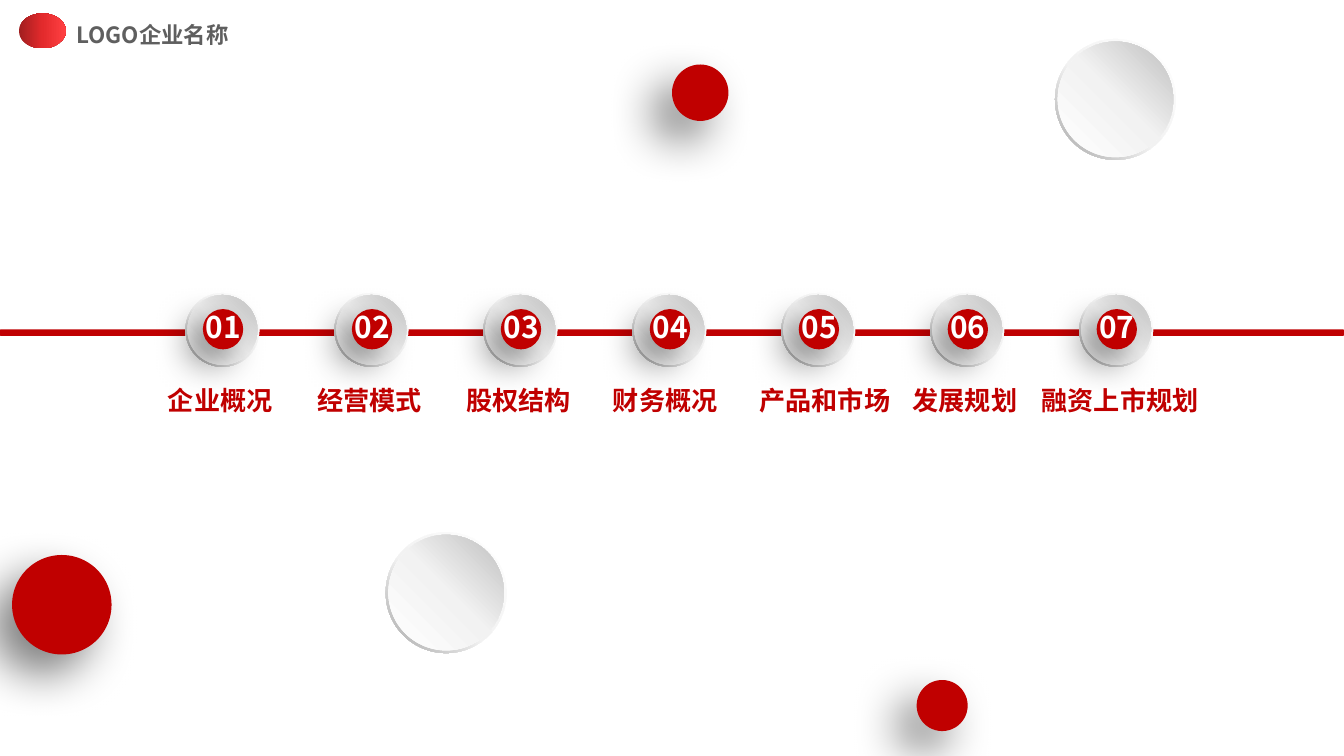
from dataclasses import dataclass

from lxml import etree
from pptx import Presentation
from pptx.dml.color import RGBColor
from pptx.enum.shapes import MSO_SHAPE
from pptx.enum.text import MSO_AUTO_SIZE
from pptx.oxml.ns import qn
from pptx.util import Inches, Pt

ELLIPSE = MSO_SHAPE.OVAL
DONUT = MSO_SHAPE.DONUT
ROUNDED = MSO_SHAPE.ROUNDED_RECTANGLE
GROW = MSO_AUTO_SIZE.SHAPE_TO_FIT_TEXT


@dataclass(frozen=True)
class Theme:
    font: str = "Noto Sans CJK SC"
    red: str = "C00000"
    line: str = "C00002"
    white: str = "FFFFFF"
    gray: str = "5F5F5F"
    rim: tuple = ((0, "FFFFFF"), (55, "F2F2F2"), (100, "A6A6A6"))
    face: tuple = ((0, "FFFFFF"), (51, "F2F2F2"), (100, "BFBFBF"))
    emblem: tuple = ((0, "A01E1F"), (50, "E32A2C"), (100, "FF4042"))
    number_size: int = 16
    label_size: int = 14
    logo_size: int = 12
    large_shadow: tuple = (50, 25, 15)
    small_shadow: tuple = (60, 20, 10)


class SlideBuilder:
    def __init__(self, slide, theme):
        self.slide = slide
        self.theme = theme

    def group(self):
        return self.slide.shapes.add_group_shape().shapes

    def shape(self, kind, left, top, width, height, color=None, shapes=None):
        shapes = self.slide.shapes if shapes is None else shapes
        shape = shapes.add_shape(
            kind, Inches(left), Inches(top), Inches(width), Inches(height))
        shape.shadow.inherit = False
        shape.line.fill.background()
        if color:
            shape.fill.solid()
            shape.fill.fore_color.rgb = RGBColor.from_string(color)
        return shape

    def gradient(self, shape, stops, angle):
        shape.fill.gradient()
        properties = shape.element.spPr
        stop_list = properties.find(".//" + qn("a:gsLst"))
        for stop in list(stop_list):
            stop_list.remove(stop)
        for position, color in stops:
            stop = etree.SubElement(stop_list, qn("a:gs"), pos=str(position * 1000))
            etree.SubElement(stop, qn("a:srgbClr"), val=color)
        properties.find(".//" + qn("a:lin")).set("ang", str(angle * 60000))

    def disc(self, left, top, size, shadow, shapes=None):
        shape = self.shape(ELLIPSE, left, top, size, size, self.theme.red, shapes)
        opacity, blur, distance = shadow
        effects = shape.element.spPr.find(qn("a:effectLst"))
        outer = etree.SubElement(
            effects, qn("a:outerShdw"), blurRad=str(Pt(blur)),
            dist=str(Pt(distance)), dir=str(135 * 60000), algn="tr", rotWithShape="0")
        color = etree.SubElement(outer, qn("a:srgbClr"), val="000000")
        etree.SubElement(color, qn("a:alpha"), val=str(opacity * 1000))

    def button(self, left, top, size, rim, shapes):
        ring = self.shape(DONUT, left, top, size, size, shapes=shapes)
        ring.adjustments[0] = 0.049
        self.gradient(ring, self.theme.rim, 135)
        inner = size - 2 * rim
        face = self.shape(ELLIPSE, left + rim, top + rim, inner, inner, shapes=shapes)
        self.gradient(face, self.theme.face, 315)

    def text(self, words, left, top, width, height, size, color,
             insets=(0.07, 0.04), wrap=False, shapes=None):
        shapes = self.slide.shapes if shapes is None else shapes
        box = shapes.add_textbox(
            Inches(left), Inches(top), Inches(width), Inches(height))
        frame = box.text_frame
        frame.word_wrap = wrap
        frame.auto_size = GROW
        frame.margin_left = frame.margin_right = Inches(insets[0])
        frame.margin_top = frame.margin_bottom = Inches(insets[1])
        paragraph = frame.paragraphs[0]
        paragraph.text = words
        font = paragraph.font
        font.name = self.theme.font
        font.size = Pt(size)
        font.bold = True
        font.color.rgb = RGBColor.from_string(color)
        for run in paragraph.runs:
            properties = run._r.get_or_add_rPr()
            etree.SubElement(properties, qn("a:ea"), typeface=self.theme.font)

    def station(self, number, left, top):
        theme = self.theme
        shapes = self.group()
        self.button(left, top, 0.55, 0.015, shapes)
        self.disc(left + 0.13, top + 0.12, 0.3, theme.small_shadow, shapes)
        self.text(f"{number:02d}", left + 0.15, top + 0.12, 0.28, 0.27,
                  theme.number_size, theme.white, insets=(0, 0), shapes=shapes)

    def logo(self):
        theme = self.theme
        shapes = self.group()
        self.text("LOGO企业名称", 0.5, 0.12, 1.28, 0.28,
                  theme.logo_size, theme.gray, wrap=True, shapes=shapes)
        emblem = self.shape(ELLIPSE, 0.14, 0.1, 0.35, 0.26, shapes=shapes)
        self.gradient(emblem, theme.emblem, 0)


def main():
    presentation = Presentation()
    presentation.slide_width = Inches(10)
    presentation.slide_height = Inches(10 * 9 / 16)
    slide = presentation.slides.add_slide(presentation.slide_layouts[6])
    theme = Theme()
    builder = SlideBuilder(slide, theme)

    builder.disc(0.09, 4.13, 0.74, theme.large_shadow)
    builder.button(2.87, 3.96, 0.9, 0.02, builder.group())
    builder.shape(ROUNDED, 0, 2.45, 10, 0.05, theme.line)

    labels = [
        ("企业概况", 1.18, 0.94),
        ("经营模式", 2.29, 0.94),
        ("股权结构", 3.4, 0.94),
        ("财务概况", 4.49, 0.94),
        ("产品和市场", 5.58, 1.13),
        ("发展规划", 6.72, 0.94),
        ("融资上市规划", 7.68, 1.33),
    ]
    first, last = 1.38, 8.03
    pitch = (last - first) / (len(labels) - 1)
    for index in range(len(labels)):
        builder.station(index + 1, first + index * pitch, 2.18)
    for words, left, width in labels:
        builder.text(words, left, 2.82, width, 0.31, theme.label_size, theme.red)

    builder.button(7.85, 0.29, 0.9, 0.02, builder.group())
    builder.disc(5, 0.48, 0.42, theme.large_shadow)
    builder.disc(6.82, 5.06, 0.38, theme.large_shadow)
    builder.logo()

    presentation.save("out.pptx")


if __name__ == "__main__":
    main()
